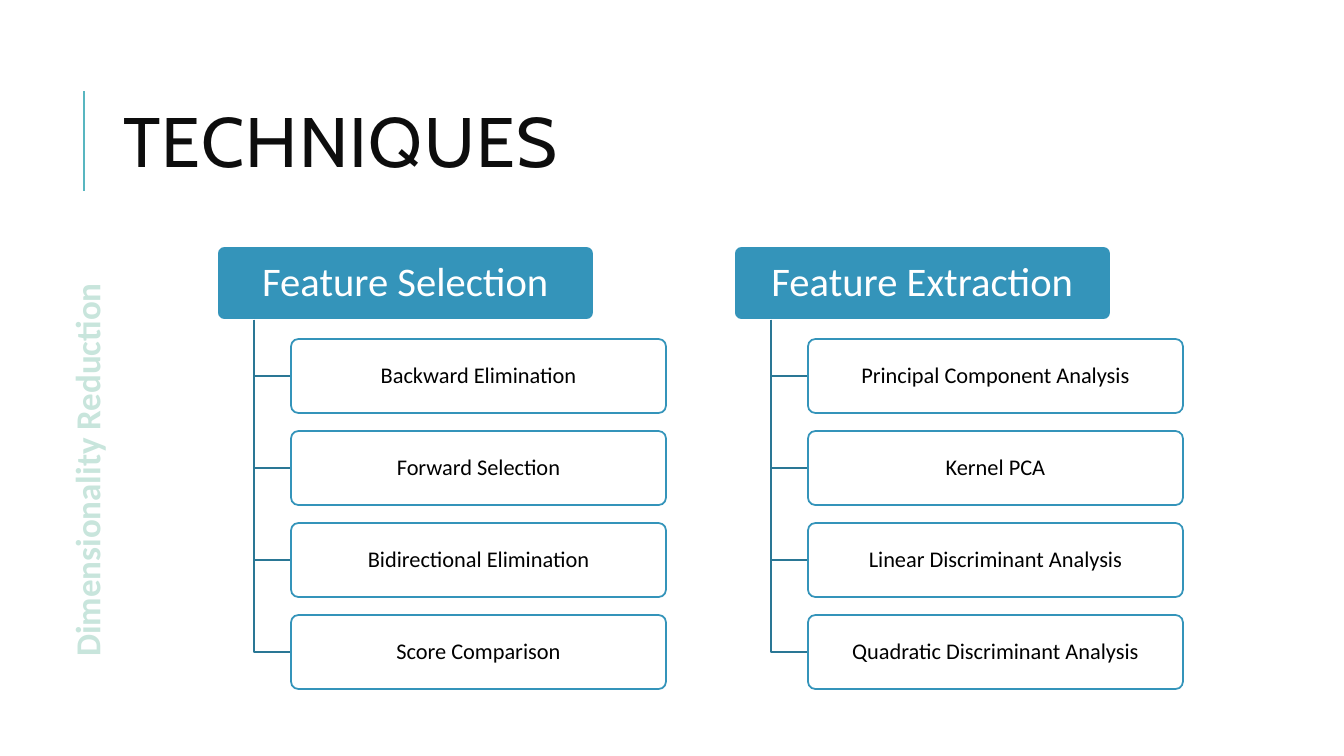
"""Build the slide of dimensionality reduction techniques."""
from lxml import etree
from pptx import Presentation
from pptx.dml.color import RGBColor
from pptx.enum.shapes import MSO_CONNECTOR, MSO_SHAPE
from pptx.enum.text import MSO_ANCHOR, MSO_AUTO_SIZE, PP_ALIGN
from pptx.oxml.ns import qn
from pptx.util import Pt

ROUND = MSO_SHAPE.ROUNDED_RECTANGLE
LINE = MSO_CONNECTOR.STRAIGHT
MIDDLE = MSO_ANCHOR.MIDDLE
FIXED = MSO_AUTO_SIZE.NONE
LEFT, CENTER = PP_ALIGN.LEFT, PP_ALIGN.CENTER
SCALE = 914400 / 100.8
COLORS = {
    "white": "FFFFFF", "black": "000000", "title": "0D0D0D",
    "blue": "3494BA", "link": "2A7795", "teal": "58B6C0", "mint": "C8E5DC",
}
HEAD = {"size": Pt(29), "name": "Calibri"}
ITEM = {"size": Pt(16), "name": "Calibri"}
TITLE = {"size": Pt(50), "name": "Cabin", "bold": False}
LABEL = {"size": Pt(25), "name": "Calibri", "bold": True}
GROUPS = {
    "Feature Selection": [
        "Backward Elimination", "Forward Selection",
        "Bidirectional Elimination", "Score Comparison"],
    "Feature Extraction": [
        "Principal Component Analysis", "Kernel PCA",
        "Linear Discriminant Analysis", "Quadratic Discriminant Analysis"],
}


def emu(*pixels):
    """Turn pixels into EMU."""
    return [round(p * SCALE) for p in pixels]


def rgb(name):
    """Look up a colour by name."""
    return RGBColor.from_string(COLORS[name])


def assign(target, values):
    """Set each attribute of the target."""
    for key, value in values.items():
        setattr(target, key, value)


class Deck:
    """Hold the style and the current slide."""

    def __init__(self):
        """Open a slide that has a title only."""
        self.show = Presentation()
        self.show.slide_width, self.show.slide_height = emu(1344, 756)
        self.slide = self.show.slides.add_slide(self.show.slide_layouts[5])
        self.shapes = self.slide.shapes

    def put(self, shape, text, font, color, align=CENTER, space=0.9, wrap=True):
        """Fill the shape with one styled paragraph."""
        frame = shape.text_frame
        assign(frame, {"word_wrap": wrap, "auto_size": FIXED,
                       "vertical_anchor": MIDDLE})
        para = frame.paragraphs[0]
        assign(para, {"alignment": align, "line_spacing": space})
        run = para.add_run()
        run.text = text
        assign(run.font, font)
        run.font.color.rgb = rgb(color)
        return run

    def stroke(self, shape, color, width=1.25):
        """Style the line of the shape."""
        shape.line.color.rgb = rgb(color)
        shape.line.width = Pt(width)

    def title(self, text, *box):
        """Place and fill the title."""
        shape = self.shapes.title
        assign(shape, dict(zip(("left", "top", "width", "height"), emu(*box))))
        run = self.put(shape, text, TITLE, "title", LEFT, 0.8)
        run._r.get_or_add_rPr().set("spc", "100")

    def rule(self, *ends):
        """Draw a straight accent line."""
        line = self.shapes.add_connector(LINE, *emu(*ends))
        self.stroke(line, "teal", 1.5)
        etree.SubElement(line._element.spPr, qn("a:effectLst"))

    def card(self, text, box, font, fill, edge, color):
        """Draw a rounded box with text."""
        shape = self.shapes.add_shape(ROUND, *emu(*box))
        shape.shadow.inherit = False
        shape.adjustments[0] = 0.1
        shape.fill.solid()
        shape.fill.fore_color.rgb = rgb(fill)
        self.stroke(shape, edge)
        self.put(shape, text, font, color)

    def elbow(self, left, top, right, low):
        """Draw a bent link down and to the right."""
        bend = self.shapes.build_freeform(*emu(left, top))
        bend.add_line_segments([emu(left, low), emu(right, low)], close=False)
        shape = bend.convert_to_shape()
        shape.shadow.inherit = False
        shape.fill.background()
        self.stroke(shape, "link")

    def label(self, text, *box):
        """Set text that reads upward."""
        shape = self.shapes.add_textbox(*emu(*box))
        shape.rotation = 270
        self.put(shape, text, LABEL, "mint", space=1.0, wrap=False)

    def group(self, left, head, items):
        """Draw a heading with its linked items."""
        self.card(head, (left, 246, 377, 74), HEAD, "blue", "white", "white")
        for row, item in enumerate(items):
            top = 339 + 92 * row
            self.elbow(left + 37, 320, left + 74, top + 37)
            self.card(item, (left + 74, top, 375, 74), ITEM,
                      "white", "blue", "black")


deck = Deck()
deck.rule(84, 191, 84, 91)
deck.title("TECHNIQUES", 113, 65, 1072, 165)
for col, (head, items) in enumerate(GROUPS.items()):
    deck.group(217 + 517 * col, head, items)
deck.label("Dimensionality Reduction", -143, 444, 459, 52)
deck.show.save("out.pptx")
